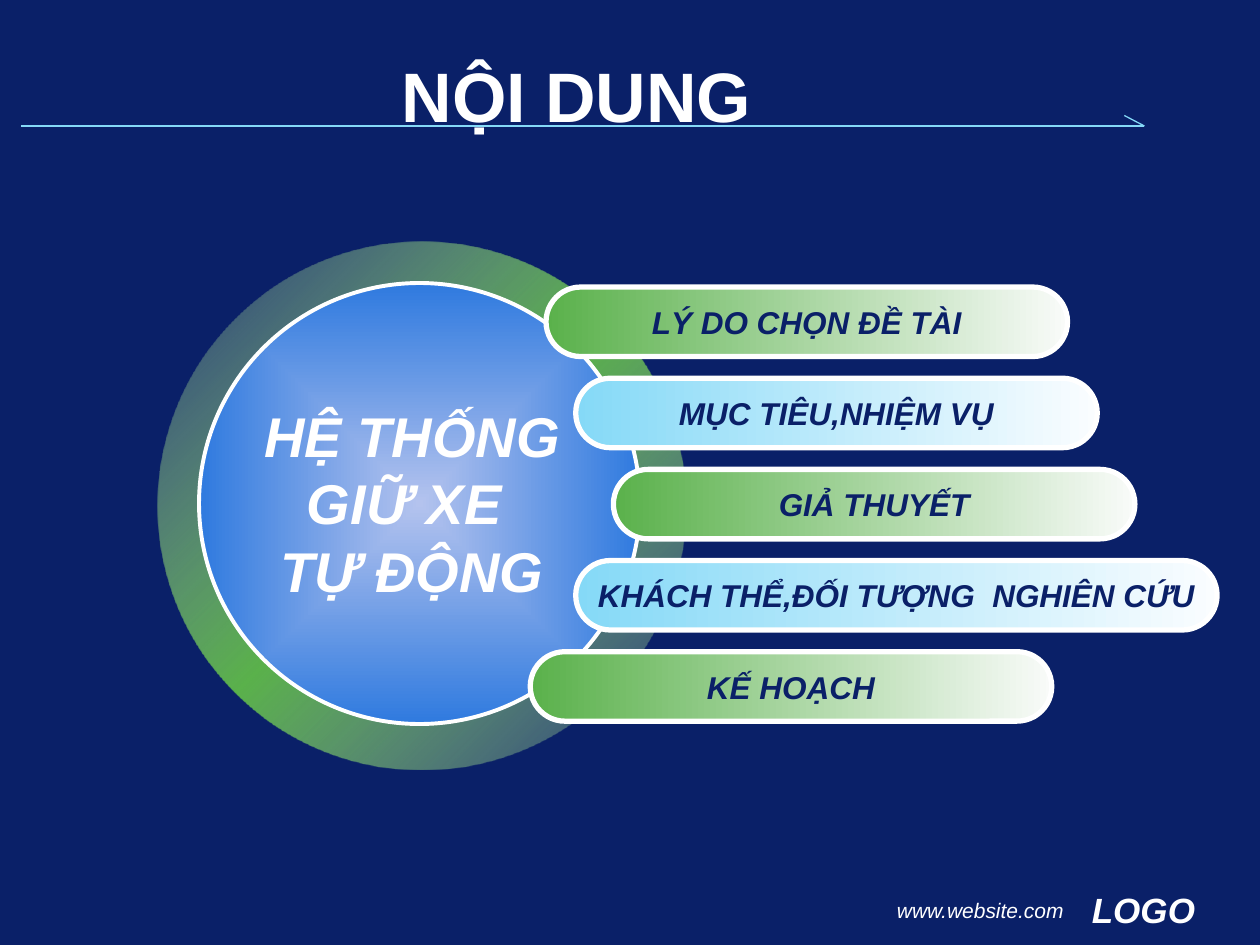
from pptx import Presentation
from pptx.dml.color import RGBColor
from pptx.enum.shapes import MSO_CONNECTOR, MSO_SHAPE
from pptx.enum.text import MSO_ANCHOR, PP_ALIGN
from pptx.oxml import parse_xml
from pptx.oxml.ns import nsdecls, qn
from pptx.util import Pt

C = {"navy": "0A2068", "white": "FFFFFF", "sky": "85D9F7", "sky_pale": "FAFDFF",
     "green": "5AB14B", "green_pale": "F9FBF9", "ring": "B4D4B0",
     "blue": "2F7ADF", "blue_pale": "B4C3EE", "black": "000000"}
LINEAR = '<a:lin ang="{}" scaled="1"/>'
CENTRED = ('<a:path path="shape"><a:fillToRect l="50000" t="50000" '
           'r="50000" b="50000"/></a:path>')


def rgb(name):
    return RGBColor.from_string(C[name])


def write(tf, *lines, size=18, color="white", bold=True, italic=True,
          align=PP_ALIGN.CENTER, anchor=MSO_ANCHOR.TOP, wrap=True, shadow=False):
    tf.word_wrap = wrap
    tf.vertical_anchor = anchor
    for i, text in enumerate(lines):
        p = tf.add_paragraph() if i else tf.paragraphs[0]
        p.alignment = align
        r = p.add_run()
        r.text = text
        f = r.font
        f.name, f.size, f.bold, f.italic = "Arial", Pt(size), bold, italic
        f.color.rgb = rgb(color)
        if shadow:
            r._r.get_or_add_rPr().find(qn("a:solidFill")).addnext(parse_xml(
                f'<a:effectLst {nsdecls("a")}><a:outerShdw dist="35921" dir="2700000">'
                f'<a:srgbClr val="{C["black"]}"/></a:outerShdw></a:effectLst>'))


def add_text(s, box, *lines, **fmt):
    write(s.shapes.add_textbox(*map(Pt, box)).text_frame, *lines, **fmt)


def add_line(s, x1, y1, x2, y2):
    ln = s.shapes.add_connector(MSO_CONNECTOR.STRAIGHT, *map(Pt, (x1, y1, x2, y2)))
    ln.line.color.rgb = rgb("sky")
    ln.line.width = Pt(0.75)
    ln._element.spPr.append(parse_xml(f'<a:effectLst {nsdecls("a")}/>'))


def add_filled(s, kind, box, stops, shade, line=0, adj=None):
    """Shape with a gradient of (position, colour, opacity) stops."""
    sp = s.shapes.add_shape(kind, *map(Pt, box))
    sp.shadow.inherit = False
    if adj is not None:
        sp.adjustments[0] = adj
    if line:
        sp.line.color.rgb = rgb("white")
        sp.line.width = Pt(line)
    else:
        sp.line.fill.background()
    gs = "".join(f'<a:gs pos="{pos * 1000}"><a:srgbClr val="{C[c]}">'
                 f'<a:alpha val="{alpha * 1000}"/></a:srgbClr></a:gs>'
                 for pos, c, alpha in stops)
    sp.fill.solid()
    spPr = sp._element.spPr
    spPr.replace(spPr.find(qn("a:solidFill")), parse_xml(
        f'<a:gradFill {nsdecls("a")} rotWithShape="1"><a:gsLst>{gs}</a:gsLst>'
        f'{shade}</a:gradFill>'))
    return sp


def header(s, x, y, w, h):
    # Title over a thin line with half an arrowhead
    title = s.shapes.title
    title.left, title.top, title.width, title.height = map(Pt, (x + 29.5, y, 576, h))
    write(title.text_frame, "NỘI DUNG", size=40, italic=False, anchor=MSO_ANCHOR.MIDDLE)
    end, base = x + w, y + h
    add_line(s, x, base, end, base)
    add_line(s, end - 11.5, base - 6, end, base)


def hub(s, x, y, d):
    # Ring, disc and the topic in the middle
    add_filled(s, MSO_SHAPE.DONUT, (x, y, d, d),
               [(0, "ring", 12), (50, "green", 100), (100, "ring", 12)],
               LINEAR.format(2700000), adj=0.088)
    add_filled(s, MSO_SHAPE.OVAL, (x + 23.75, y + 23.75, 252, 252),
               [(0, "blue_pale", 100), (100, "blue", 100)], CENTRED, line=2.25)


def hub_label(s, x, y, w, h):
    add_text(s, (x, y, w, h), "HỆ THỐNG GIỮ XE ", "TỰ ĐỘNG", size=32, shadow=True)


def agenda(s, x, y, items, pitch=52.1, h=39.7):
    # Pills in alternating colours, each with its own indent and width
    for i, (text, indent, w) in enumerate(items):
        hue = "sky" if i % 2 else "green"
        sp = add_filled(s, MSO_SHAPE.ROUNDED_RECTANGLE, (x + indent, y + i * pitch, w, h),
                        [(0, hue, 100), (100, hue + "_pale", 100)],
                        LINEAR.format(0), line=3, adj=0.5)
        write(sp.text_frame, text, color="navy", anchor=MSO_ANCHOR.MIDDLE, wrap=False)


def footer(s, x, y):
    add_text(s, (x, y + 5.5, 180, 19.5), "www.website.com", size=12, bold=False,
             align=PP_ALIGN.RIGHT)
    add_text(s, (x + 146, y, 109, 31), "LOGO", size=20, align=PP_ALIGN.RIGHT)


prs = Presentation()
prs.slide_width, prs.slide_height = Pt(720), Pt(540)
s = prs.slides.add_slide(prs.slide_layouts[5])
s.background.fill.solid()
s.background.fill.fore_color.rgb = rgb("navy")

header(s, 12, 36, 642, 36)
hub(s, 90, 138, 302)
agenda(s, 303, 164, [
    ("LÝ DO CHỌN ĐỀ TÀI", 9, 298),
    ("MỤC TIÊU,NHIỆM VỤ", 26, 298),
    ("GIẢ THUYẾT", 47.5, 298),
    ("KHÁCH THỂ,ĐỐI TƯỢNG  NGHIÊN CỨU", 26, 366.5),
    ("KẾ HOẠCH", 0, 298),
])
hub_label(s, 121, 226, 229, 124)
footer(s, 435, 504)

prs.save("out.pptx")
